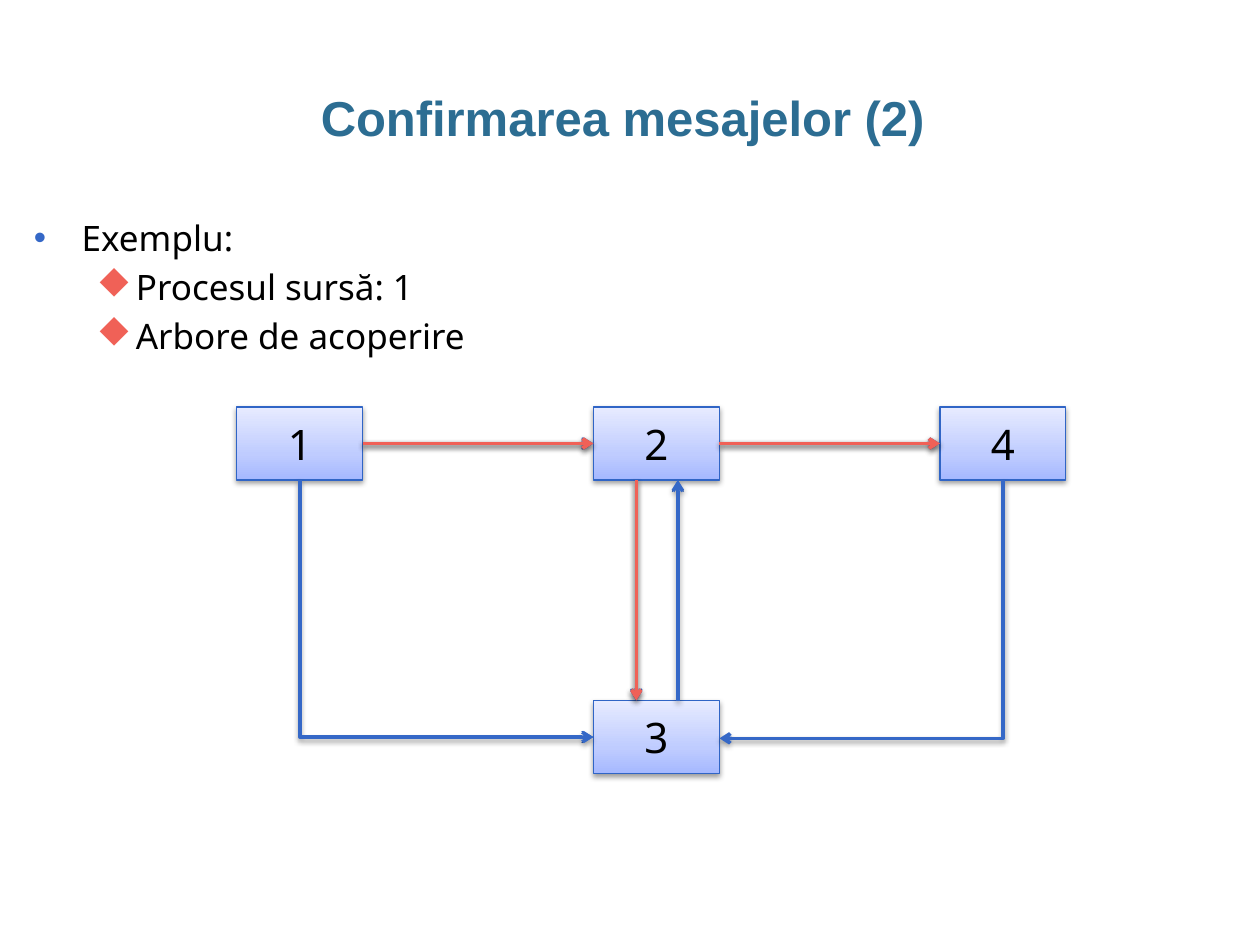
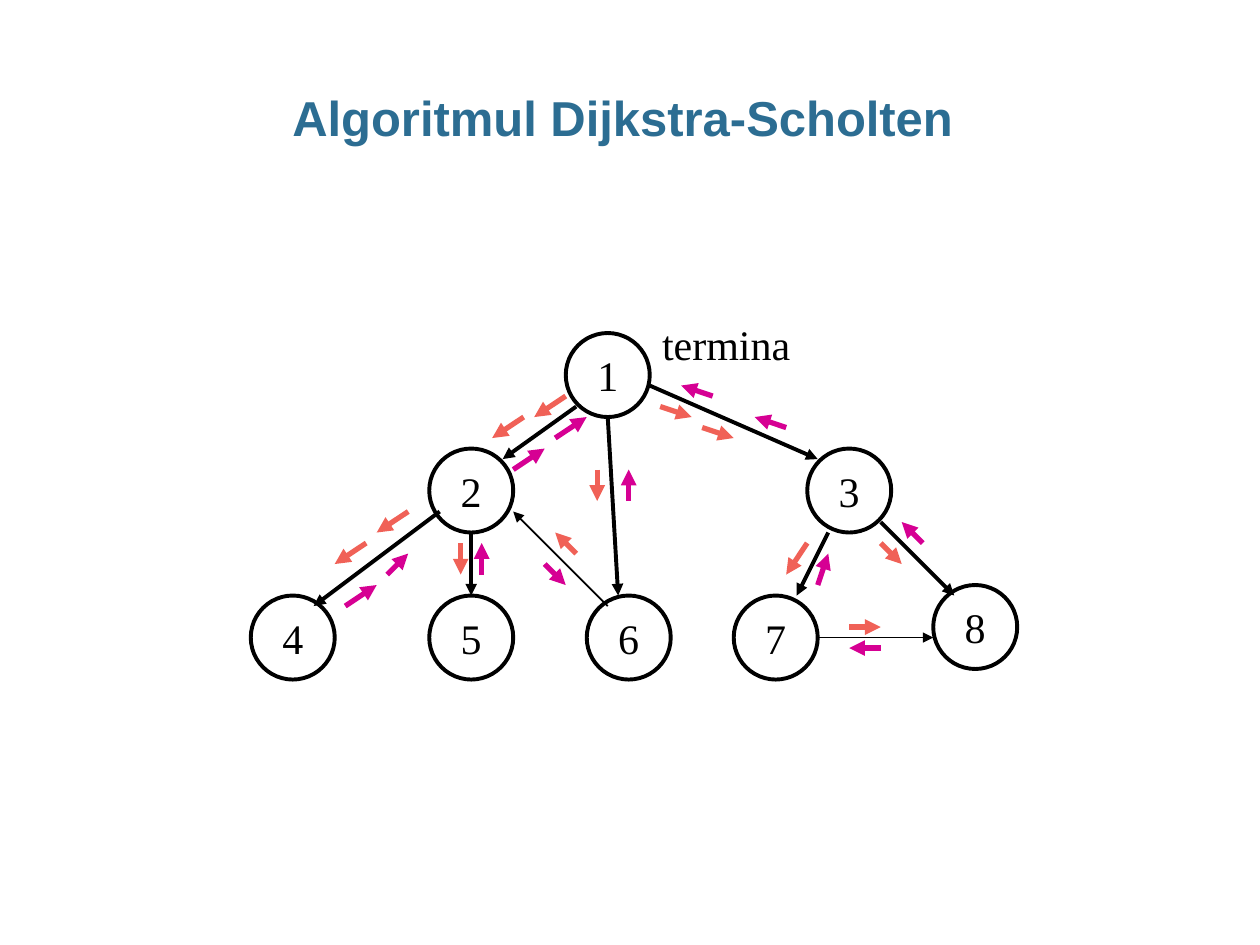
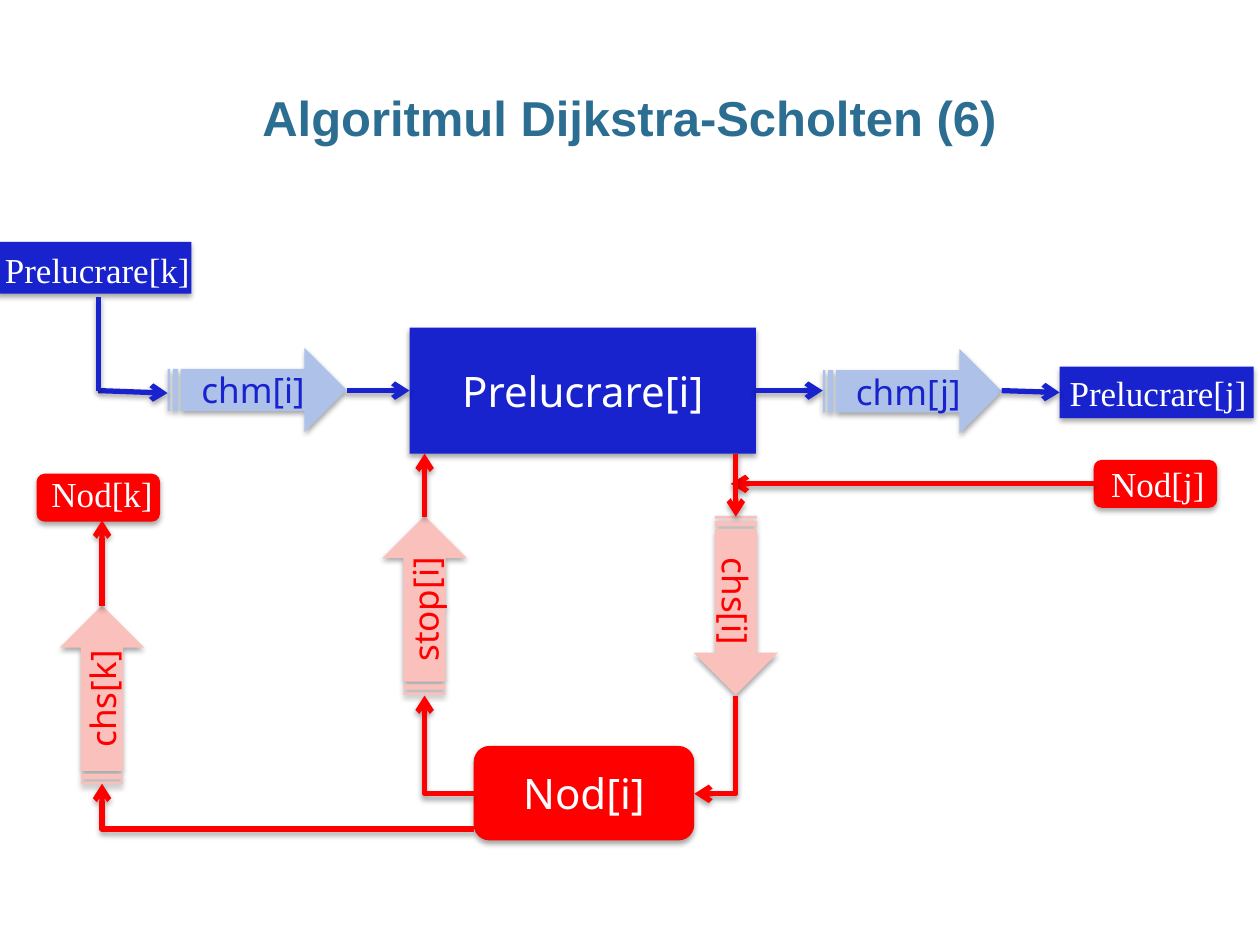
from copy import deepcopy
from lxml.etree import SubElement
from pptx import Presentation
from pptx.dml.color import RGBColor
from pptx.enum.shapes import MSO_CONNECTOR, MSO_SHAPE
from pptx.enum.text import MSO_ANCHOR, MSO_AUTO_SIZE, PP_ALIGN
from pptx.oxml.ns import qn
from pptx.util import Inches, Pt

WIDE, HIGH = Inches(10), Inches(7.5)
CELL = WIDE / 10
STEP = 1 / 12

BLACK = RGBColor(0x00, 0x00, 0x00)
WHITE = RGBColor(0xFF, 0xFF, 0xFF)
TEAL = RGBColor(0x2C, 0x6D, 0x92)
BLUE = RGBColor(0x35, 0x68, 0xC7)
EDGE = RGBColor(0x30, 0x65, 0xC6)
CORAL = RGBColor(0xF0, 0x61, 0x57)
PINK = RGBColor(0xD6, 0x00, 0x93)
NAVY = RGBColor(0x18, 0x22, 0xCD)
SKY = RGBColor(0xAE, 0xC2, 0xE9)
RED = RGBColor(0xFF, 0x00, 0x00)
ROSE = RGBColor(0xF9, 0xC0, 0xBC)
FADE = [(0, RGBColor(0xA5, 0xB8, 0xFF)), (0.35, RGBColor(0xBF, 0xCC, 0xFF)),
        (1, RGBColor(0xE7, 0xEB, 0xFF))]

SANS, SERIF, HEAD = "Noto Sans", "Times New Roman", "Arial"
SOFT = {"dist": 20000, "alpha": 38000}
DEEP = {"dist": 23000, "alpha": 35000}


def cells(*spans):
    """Turn columns and rows of the ten-column grid into lengths."""
    return [round(CELL * span) for span in spans]


def fine(col, row):
    """Turn a step of the tree's fine grid into columns and rows."""
    return col * STEP - 0.01, row * STEP + 0.06


def write(para, text, size, font, color, bold=False):
    """Add one styled run to a paragraph."""
    run = para.add_run()
    run.text = text
    run.font.size, run.font.name, run.font.bold = Pt(size), font, bold
    run.font.color.rgb = color


def shade(item, dist, alpha):
    """Drop a soft black shadow straight below an item."""
    props = item._element.spPr
    effects = props.find(qn("a:effectLst"))
    drop = SubElement(effects, qn("a:outerShdw"), blurRad="40000", dist=str(dist),
                      dir="5400000", rotWithShape="0")
    tint = SubElement(drop, qn("a:srgbClr"), val="000000")
    SubElement(tint, qn("a:alpha"), val=str(alpha))


def title(slide, text):
    """Add the slide title."""
    frame = slide.shapes.add_textbox(*cells(0.34, 0.68, 9.31, 0.5)).text_frame
    frame.word_wrap = True
    frame.margin_left = frame.margin_right = 0
    para = frame.paragraphs[0]
    para.alignment, para.line_spacing = PP_ALIGN.CENTER, 0.95
    write(para, text, 28, HEAD, TEAL, True)


def bullets(slide, box, items):
    """Add a bulleted list of (level, text) items."""
    frame = slide.shapes.add_textbox(*cells(*box)).text_frame
    frame.word_wrap = True
    dot = {"typeface": HEAD}
    diamond = {"typeface": "Wingdings", "pitchFamily": "2", "charset": "2"}
    looks = [(0.38, 0.38, "•", dot, BLUE), (0.81, 0.31, "u", diamond, CORAL)]
    for rank, (level, text) in enumerate(items):
        para = frame.add_paragraph() if rank else frame.paragraphs[0]
        left, hang, mark, face, color = looks[level]
        para.level = level
        props = para._p.get_or_add_pPr()
        props.set("marL", str(Inches(left)))
        props.set("indent", str(-Inches(hang)))
        tint = SubElement(props, qn("a:buClr"))
        SubElement(tint, qn("a:srgbClr"), val=str(color))
        SubElement(props, qn("a:buFont"), **face)
        SubElement(props, qn("a:buChar"), char=mark)
        if rank:
            para.space_before = Pt(4)
        write(para, text, 20, SANS, BLACK)


def label(slide, box, text, size, color, wrap=False):
    """Add a free line of serif text."""
    frame = slide.shapes.add_textbox(*cells(*box)).text_frame
    frame.word_wrap = wrap
    frame.auto_size = MSO_AUTO_SIZE.SHAPE_TO_FIT_TEXT
    write(frame.paragraphs[0], text, size, SERIF, color)


def block(slide, kind, box, fill=None, text="", size=24, ink=WHITE, font=SANS, turn=0):
    """Add a borderless preset shape with centred text."""
    shape = slide.shapes.add_shape(kind, *cells(*box))
    shape.shadow.inherit = False
    shape.rotation = turn
    shape.line.fill.background()
    if fill is None:
        shape.fill.background()
    else:
        shape.fill.solid()
        shape.fill.fore_color.rgb = fill
    frame = shape.text_frame
    frame.word_wrap = True
    frame.vertical_anchor = MSO_ANCHOR.MIDDLE
    if text:
        para = frame.paragraphs[0]
        para.alignment = PP_ALIGN.CENTER
        write(para, text, size, font, ink)
    return shape


def border(shape, color, width):
    """Outline a shape."""
    shape.line.color.rgb, shape.line.width = color, Pt(width)


def node(slide, col, row, text):
    """Add a process box with a blue gradient."""
    shape = block(slide, MSO_SHAPE.RECTANGLE, (col, row, 1, 0.58), WHITE, text, ink=BLACK)
    shape.fill.gradient()
    stops = shape._element.spPr.find(".//" + qn("a:gsLst"))
    stops.append(deepcopy(stops[0]))
    for stop, (place, color) in zip(shape.fill.gradient_stops, FADE):
        stop.position, stop.color.rgb = place, color
    shape.fill.gradient_angle = 90
    border(shape, EDGE, 0.75)
    shade(shape, **SOFT)
    return shape


def circle(slide, col, row, text):
    """Add a numbered tree node."""
    shape = block(slide, MSO_SHAPE.OVAL, (*fine(col, row), 8 * STEP, 8 * STEP),
                  None, text, ink=BLACK, font=SERIF)
    shape.text_frame.word_wrap = False
    border(shape, BLACK, 2.25)


def link(slide, start, end, color, width, tip="arrow", drop=None, kind=MSO_CONNECTOR.STRAIGHT):
    """Add a connector with an optional tip and shadow."""
    line = slide.shapes.add_connector(kind, *cells(*start, *end))
    line.line.color.rgb, line.line.width = color, Pt(width)
    props = line._element.spPr
    if tip:
        SubElement(props.find(qn("a:ln")), qn("a:tailEnd"), type=tip)
    SubElement(props, qn("a:effectLst"))
    if drop:
        shade(line, **drop)
    return line


def bend(slide, start, end, *style):
    """Add a one-corner arrow: downwards first, or sideways first when it climbs."""
    (left, top), (right, low) = start, end
    wide, high = abs(right - left), abs(low - top)
    turn, flip = 180, False
    if low > top:
        wide, high = high, wide
        flip = right > left
        turn = 270 if flip else 90
    x, y = (left + right - wide) / 2, (top + low - high) / 2
    line = link(slide, (x, y), (x + wide, y + high), *style, kind=MSO_CONNECTOR.ELBOW)
    props = line._element.spPr
    props.find(qn("a:prstGeom")).set("prst", "bentConnector2")
    frame = props.find(qn("a:xfrm"))
    frame.set("rot", str(turn * 60000))
    if flip:
        frame.set("flipH", "1")


def join(line, first=None, last=None):
    """Glue the ends of a line to (shape, side) pairs."""
    if first:
        line.begin_connect(*first)
    if last:
        line.end_connect(*last)


def confirm(slide):
    """Draw the example network and its spanning tree."""
    title(slide, "Confirmarea mesajelor (2) ")
    bullets(slide, (0.17, 1.67, 9, 4.95),
            [(0, "Exemplu:"), (1, "Procesul sursă: 1"), (1, "Arbore de acoperire")])
    one, two, four, three = [node(slide, *spot) for spot in (
        (1.88, 3.23, "1"), (4.71, 3.23, "2"), (7.46, 3.23, "4"), (4.71, 5.56, "3"))]

    def across(first, last, *style):
        """Join two neighbours in the top row."""
        join(link(slide, (0, 0), (1, 0), *style), (first, 3), (last, 1))

    def down(*style):
        """Lead from the second process to the third."""
        link(slide, (5.05, 3.81), (5.05, 5.56), *style)

    thin, thick = (EDGE, 0.75), (BLUE, 2, "arrow", SOFT)
    tree = (CORAL, 2, "arrow", SOFT)
    for style in (thin, thick):
        across(one, two, *style)
        bend(slide, (2.38, 3.81), (4.71, 5.85), *style)
        down(*style)
        link(slide, (5.38, 5.56), (5.38, 3.81), *style)
    across(two, four, *thick)
    bend(slide, (7.96, 3.81), (5.71, 5.86), *thick)
    across(two, four, *tree)
    across(one, two, *tree)
    down(*tree)


def spread(slide):
    """Draw the tree with its messages and replies."""
    title(slide, "Algoritmul Dijkstra-Scholten ")
    spots = [(54, 31), (41, 42), (77, 42), (24, 56), (41, 56), (56, 56), (70, 56), (89, 55)]
    for rank, spot in enumerate(spots, 1):
        circle(slide, *spot, str(rank))
    routes = [
        (BLACK, 2.25, [(55, 38, 48, 43), (42, 48, 30, 57), (45, 50, 45, 56), (62, 36, 78, 43),
                       (79, 50, 76, 56), (84, 49, 91, 56), (58, 39, 59, 56)]),
        (BLACK, 1, [(58, 57, 49, 48), (78, 60, 89, 60)]),
        (CORAL, 3, [(54, 37, 51, 39), (50, 39, 47, 41), (39, 48, 36, 50), (35, 51, 32, 53),
                    (63, 38, 66, 39), (67, 40, 70, 41), (55, 52, 53, 50), (44, 51, 44, 54),
                    (77, 51, 75, 54), (84, 51, 86, 53), (81, 59, 84, 59), (57, 44, 57, 47)]),
        (PINK, 3, [(33, 57, 36, 55), (37, 54, 39, 52), (46, 54, 46, 51), (52, 53, 54, 55),
                   (49, 44, 52, 42), (53, 41, 56, 39), (60, 47, 60, 44), (68, 37, 65, 36),
                   (75, 40, 72, 39), (84, 61, 81, 61), (88, 51, 86, 49), (78, 55, 79, 52)])]
    for color, width, paths in routes:
        for path in paths:
            link(slide, fine(*path[:2]), fine(*path[2:]), color, width, "triangle")
    label(slide, (*fine(62, 29), 1.5, 0.5), "termina", 24, BLACK, wrap=True)


def solid(slide, *args, **extra):
    """Add a block with the deep shadow."""
    shape = block(slide, *args, **extra)
    shade(shape, **DEEP)
    return shape


def pipe(slide, col, row, text, fill, ink, turn=0):
    """Add a striped channel arrow."""
    solid(slide, MSO_SHAPE.STRIPED_RIGHT_ARROW, (col, row, 1.42, 0.67),
          fill, text, 20, ink, turn=turn)


def flow(slide):
    """Draw the processes, nodes and the channels between them."""
    title(slide, "Algoritmul Dijkstra-Scholten (6)")
    rect, soft = MSO_SHAPE.RECTANGLE, MSO_SHAPE.ROUNDED_RECTANGLE
    blue, red = (NAVY, 3, "arrow", DEEP), (RED, 3, "arrow", DEEP)

    main_box = solid(slide, rect, (3.25, 2.6, 2.75, 1), NAVY, "Prelucrare[i]")
    next_box = solid(slide, rect, (8.41, 2.91, 1.54, 0.41), NAVY)
    solid(slide, rect, (-0.02, 1.92, 1.54, 0.41), NAVY)
    solid(slide, soft, (0.29, 3.76, 0.98, 0.38), RED)
    peer = solid(slide, soft, (8.68, 3.65, 0.98, 0.38), RED)
    solid(slide, soft, (3.76, 5.92, 1.75, 0.75), RED, "Nod[i]")

    pipe(slide, 1.33, 2.76, "chm[i]", SKY, NAVY)
    pipe(slide, 6.53, 2.77, "chm[j]", SKY, NAVY)
    pipe(slide, 0.1, 5.18, "chs[k]", ROSE, RED, 270)
    pipe(slide, 5.13, 4.47, "chs[i]", ROSE, RED, 90)
    pipe(slide, 2.66, 4.47, "stop[i]", ROSE, RED, 270)

    join(link(slide, (2.75, 3.1), (3.25, 3.1), *blue), last=(main_box, 1))
    join(link(slide, (6, 3.1), (6.53, 3.1), *blue), first=(main_box, 3))
    join(link(slide, (7.95, 3.1), (8.41, 3.11), *blue), last=(next_box, 1))
    join(link(slide, (8.68, 3.84), (5.8, 3.84), *red), first=(peer, 1))
    link(slide, (0.78, 3.1), (1.33, 3.12), *blue)
    link(slide, (0.78, 3.1), (0.78, 2.36), NAVY, 3, None, DEEP)
    for start, end in [((0.81, 4.81), (0.81, 4.13)), ((3.37, 4.1), (3.37, 3.6)),
                       ((5.84, 3.6), (5.84, 4.1))]:
        link(slide, start, end, *red)
    for start, end in [((3.76, 6.58), (0.81, 6.22)), ((3.76, 6.3), (3.37, 5.52)),
                       ((5.84, 5.52), (5.51, 6.3))]:
        bend(slide, start, end, *red)

    for col, row, wide, text in [(8.39, 2.9, 1.61, "Prelucrare[j]"),
                                 (-0.06, 1.92, 1.68, "Prelucrare[k]"),
                                 (0.31, 3.7, 1.01, "Nod[k]"), (8.72, 3.62, 0.95, "Nod[j]")]:
        label(slide, (col, row, wide, 0.44), text, 20, WHITE)


def main():
    """Build the three slides."""
    deck = Presentation()
    deck.slide_width, deck.slide_height = WIDE, HIGH
    for draw in (confirm, spread, flow):
        draw(deck.slides.add_slide(deck.slide_layouts[6]))
    deck.save("out.pptx")


if __name__ == "__main__":
    main()
